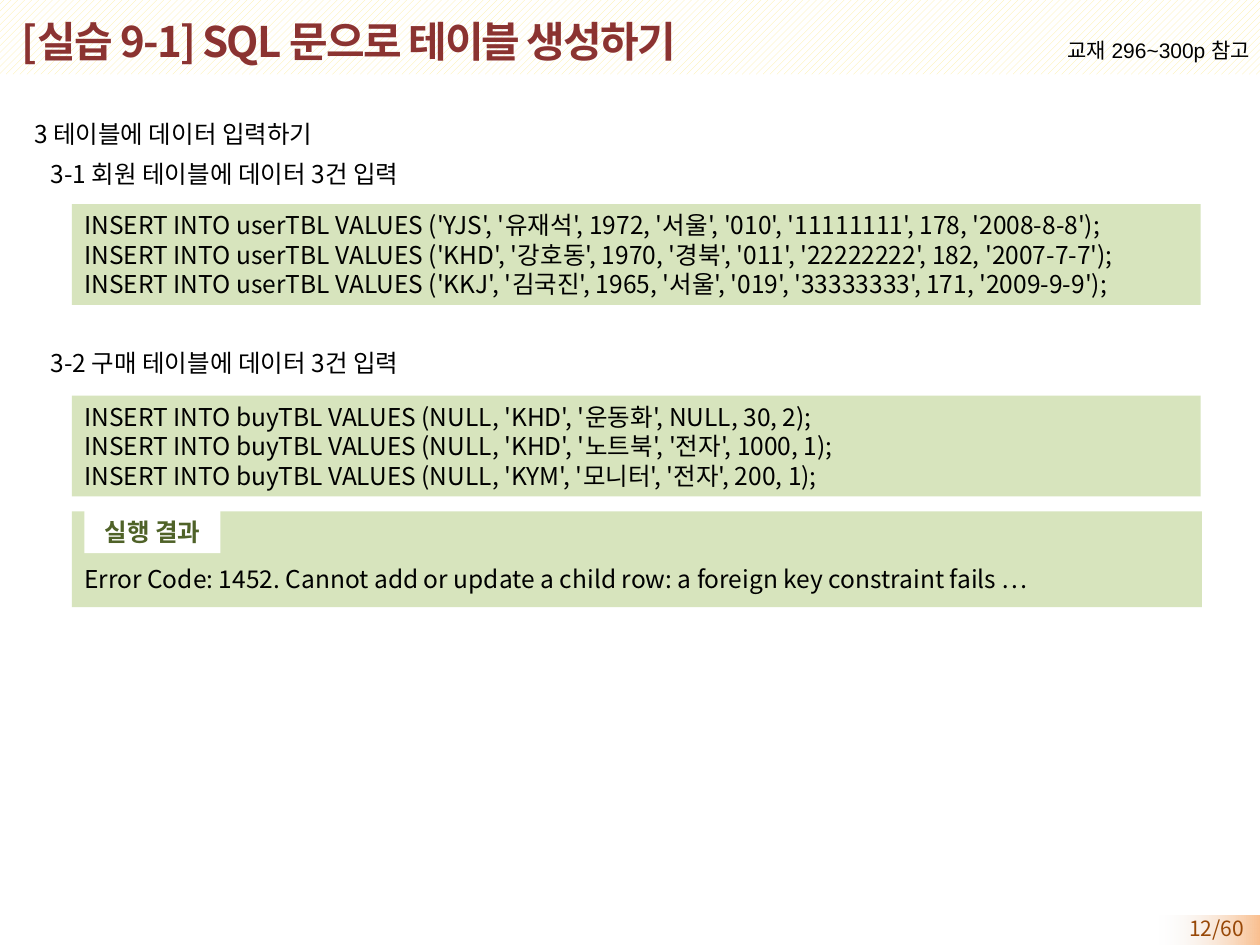
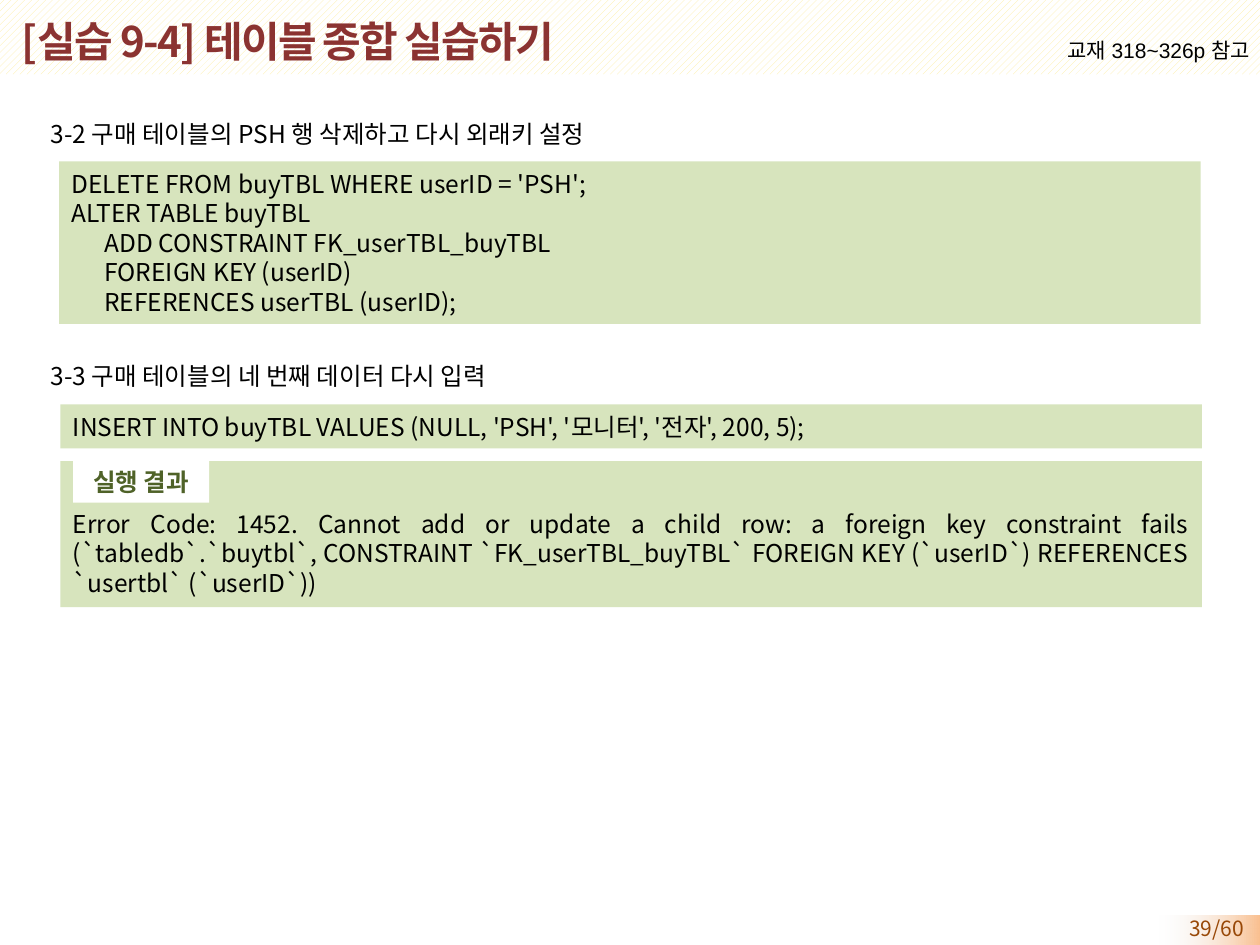
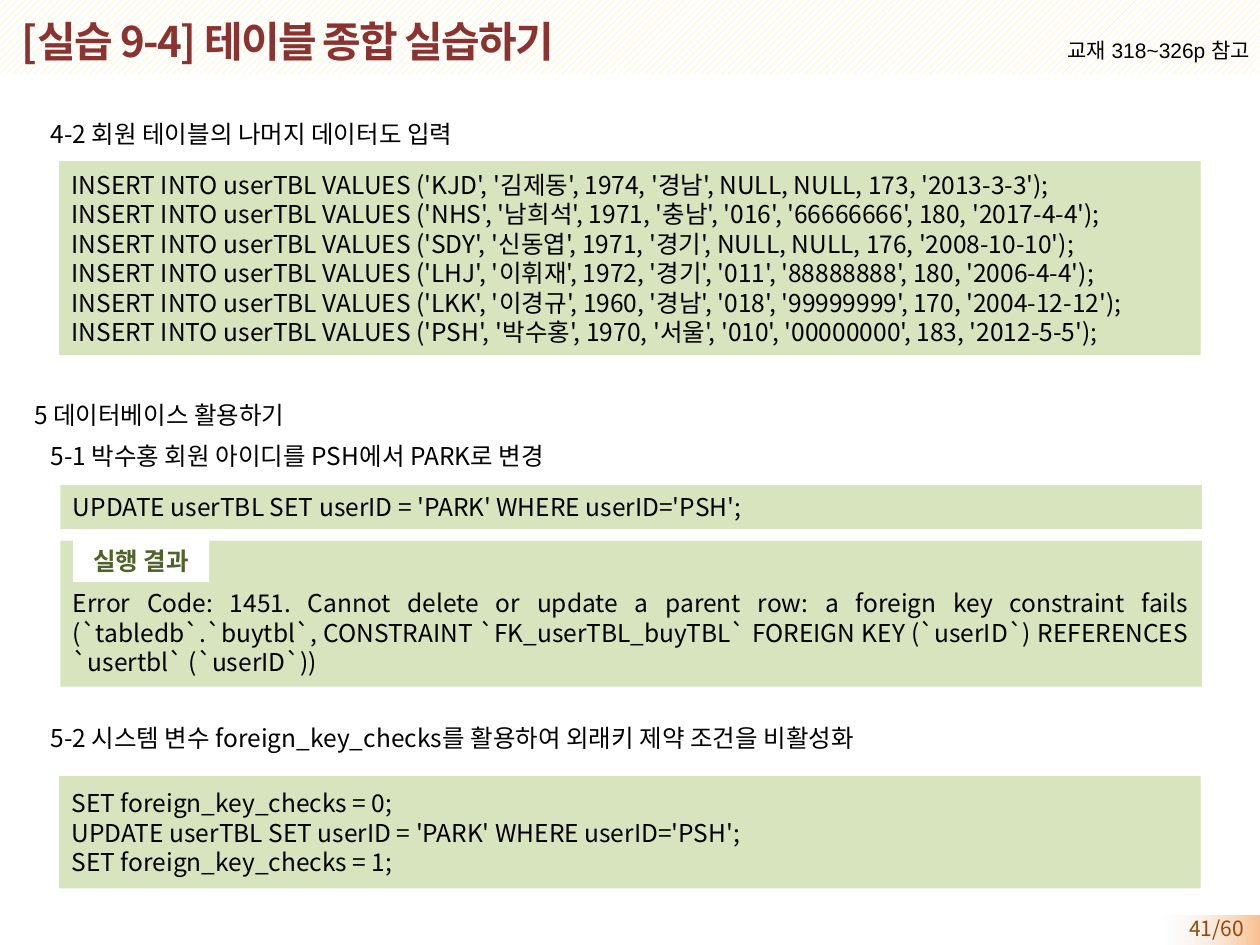
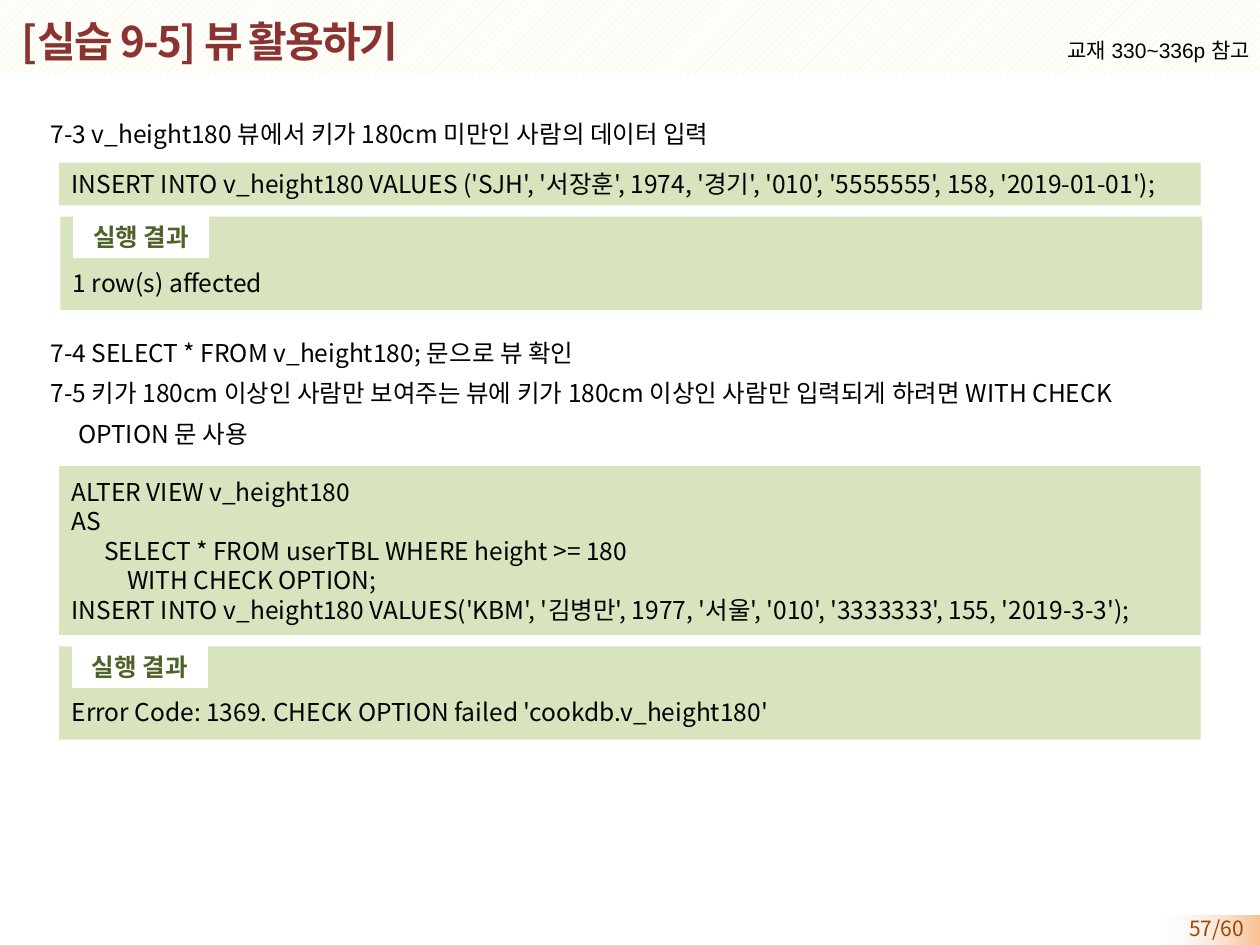
from dataclasses import dataclass
from typing import NamedTuple

from lxml.etree import SubElement
from pptx import Presentation
from pptx.dml.color import RGBColor
from pptx.enum.dml import MSO_PATTERN
from pptx.enum.shapes import MSO_SHAPE
from pptx.enum.text import MSO_ANCHOR, MSO_AUTO_SIZE, PP_ALIGN
from pptx.oxml.ns import qn
from pptx.util import Inches, Pt

COLORS = {
    "title": "8B3331",
    "text": "000000",
    "code": "D7E4BD",
    "label": "4F6228",
    "white": "FFFFFF",
    "stripe": "FDED9C",
    "page": "984807",
    "page_band": "FAC090",
    "page_fade": "F2F2F2",
}
FONT = "Noto Sans CJK KR"
REFERENCE_FONT = "Arial"
PAGE_COUNT = 60

BODY_INDENT = 0.1
STEP_INDENT = 0.23
WRAP_INDENT = 0.45
LINE_GAP = 2.8
CODE_INDENT = 0.26
DEEP_CODE_INDENT = 0.44
LABEL_OFFSET = 0.1


class Line(NamedTuple):
    text: str
    indent: float = 0
    gap: float = LINE_GAP


@dataclass
class CodeBox:
    left: float
    top: float
    width: float
    height: float
    lines: list[Line]


@dataclass
class ResultBox:
    left: float
    top: float
    width: float
    height: float
    message: str


@dataclass
class Lesson:
    title: str
    reference: str
    page: int
    headings: list[Line]
    boxes: list[CodeBox | ResultBox]


def color(name: str) -> RGBColor:
    return RGBColor.from_string(COLORS[name])


def place(shape, left: float, top: float, width: float, height: float) -> None:
    shape.left, shape.top = Inches(left), Inches(top)
    shape.width, shape.height = Inches(width), Inches(height)


def format_text(paragraph, size: float, color_name: str = "text", bold: bool = False,
                font: str = FONT, alignment=PP_ALIGN.LEFT, tracking: int = 0) -> None:
    paragraph.alignment = alignment
    for run in paragraph.runs:
        run.font.size = Pt(size)
        run.font.bold = bold
        run.font.name = font
        run.font.color.rgb = color(color_name)
        properties = run.font._element
        SubElement(properties, qn("a:ea")).set("typeface", font)
        if tracking:
            properties.set("spc", str(tracking))


def set_indent(paragraph, indent: float) -> None:
    properties = paragraph._p.get_or_add_pPr()
    properties.set("marL", str(Inches(indent)))
    properties.set("indent", "0")


def add_rectangle(slide, left: float, top: float, width: float, height: float,
                  fill_name: str):
    shape = slide.shapes.add_shape(MSO_SHAPE.RECTANGLE, Inches(left), Inches(top),
                                   Inches(width), Inches(height))
    shape.shadow.inherit = False
    shape.fill.solid()
    shape.fill.fore_color.rgb = color(fill_name)
    shape.line.fill.background()
    shape.text_frame.vertical_anchor = MSO_ANCHOR.MIDDLE
    return shape


def add_text(slide, left: float, top: float, width: float, height: float, text: str):
    shape = slide.shapes.add_textbox(Inches(left), Inches(top), Inches(width), Inches(height))
    shape.text_frame.text = text
    return shape.text_frame


def add_bands(slide, layout) -> None:
    """Draw the striped title band and the page band, then keep them on the layout."""
    page_band = add_rectangle(slide, 9.2, 7.27, 0.8, 0.24, "page_band")
    page_band.fill.gradient()
    page_band.fill.gradient_angle = 180
    for stop, name in zip(page_band.fill.gradient_stops, ("page_band", "page_fade")):
        stop.color.rgb = color(name)
    fade = page_band._element.findall(".//" + qn("a:srgbClr"))[1]
    SubElement(fade, qn("a:alpha")).set("val", "0")

    title_band = add_rectangle(slide, 0, -0.02, 10, 0.61, "white")
    title_band.fill.patterned()
    title_band.fill.pattern = MSO_PATTERN.WIDE_UPWARD_DIAGONAL
    title_band.fill.fore_color.rgb = color("stripe")
    title_band.fill.back_color.rgb = color("white")

    for band in (title_band, page_band):
        layout.shapes._spTree.insert(2, band._element)


def add_title(slide, text: str) -> None:
    title = slide.shapes.title
    place(title, 0.07, 0.06, 8.51, 0.52)
    frame = title.text_frame
    frame.text = text
    frame.auto_size = MSO_AUTO_SIZE.NONE
    frame.vertical_anchor = MSO_ANCHOR.MIDDLE
    format_text(frame.paragraphs[0], 24, "title", bold=True, tracking=-100)


def add_headings(slide, headings: list[Line]) -> None:
    body = slide.placeholders[1]
    place(body, 0.07, 0.85, 9.8, 6.2)
    frame = body.text_frame
    frame.text = "\n".join(heading.text for heading in headings)
    frame.auto_size = MSO_AUTO_SIZE.NONE
    for paragraph, heading in zip(frame.paragraphs, headings):
        set_indent(paragraph, heading.indent)
        paragraph.line_spacing = 1.2
        paragraph.space_before = Pt(heading.gap)
        SubElement(paragraph._p.get_or_add_pPr(), qn("a:buNone"))
        format_text(paragraph, 14)


def add_code(slide, box: CodeBox) -> None:
    shape = add_rectangle(slide, box.left, box.top, box.width, box.height, "code")
    shape.text_frame.text = "\n".join(line.text for line in box.lines)
    for paragraph, line in zip(shape.text_frame.paragraphs, box.lines):
        set_indent(paragraph, line.indent)
        format_text(paragraph, 14)


def add_result(slide, box: ResultBox) -> None:
    shape = add_rectangle(slide, box.left, box.top, box.width, box.height, "code")
    shape.text_frame.text = box.message
    shape.text_frame.margin_top = Inches(0.35)  # room for the label
    format_text(shape.text_frame.paragraphs[0], 14, alignment=PP_ALIGN.JUSTIFY)

    label = add_rectangle(slide, box.left + LABEL_OFFSET, box.top - 0.01, 1.08, 0.34, "white")
    label.text_frame.text = "실행 결과"
    format_text(label.text_frame.paragraphs[0], 14, "label", bold=True,
                alignment=PP_ALIGN.CENTER)


def add_lesson(slide, lesson: Lesson) -> None:
    add_title(slide, lesson.title)
    add_headings(slide, lesson.headings)

    reference = add_text(slide, 8.25, 0.25, 1.77, 0.3, f"교재 {lesson.reference}p 참고")
    reference.word_wrap = False
    format_text(reference.paragraphs[0], 12, font=REFERENCE_FONT, alignment=PP_ALIGN.RIGHT)

    page = add_text(slide, 9.05, 7.22, 0.92, 0.23, f"{lesson.page}/{PAGE_COUNT}")
    page.word_wrap = True
    format_text(page.paragraphs[0], 12, "page", alignment=PP_ALIGN.RIGHT)

    for box in lesson.boxes:
        if isinstance(box, CodeBox):
            add_code(slide, box)
        else:
            add_result(slide, box)


def topic(text: str, gap: float = LINE_GAP) -> Line:
    return Line(text, BODY_INDENT, gap)


def step(text: str, gap: float = LINE_GAP) -> Line:
    return Line(text, STEP_INDENT, gap)


def inserts(table: str, *rows: str) -> list[Line]:
    return [Line(f"INSERT INTO {table} VALUES ({row});") for row in rows]


def foreign_key_error(code: int, action: str) -> str:
    return (f"Error Code: {code}. Cannot {action} row: a foreign key constraint fails "
            "(`tabledb`.`buytbl`, CONSTRAINT `FK_userTBL_buyTBL` FOREIGN KEY (`userID`) "
            "REFERENCES `usertbl` (`userID`))")


RENAME_USER = Line("UPDATE userTBL SET userID = 'PARK' WHERE userID='PSH';")
TABLE_TITLE = "[실습 9-4] 테이블 종합 실습하기"

LESSONS = [
    Lesson(
        "[실습 9-1] SQL 문으로 테이블 생성하기", "296~300", 12,
        [
            topic("3 테이블에 데이터 입력하기", 0),
            step("3-1 회원 테이블에 데이터 3건 입력"),
            step("3-2 구매 테이블에 데이터 3건 입력", 87.4),
        ],
        [
            CodeBox(0.57, 1.62, 8.96, 0.8, inserts(
                "userTBL",
                "'YJS', '유재석', 1972, '서울', '010', '11111111', 178, '2008-8-8'",
                "'KHD', '강호동', 1970, '경북', '011', '22222222', 182, '2007-7-7'",
                "'KKJ', '김국진', 1965, '서울', '019', '33333333', 171, '2009-9-9'",
            )),
            CodeBox(0.57, 3.14, 8.96, 0.8, inserts(
                "buyTBL",
                "NULL, 'KHD', '운동화', NULL, 30, 2",
                "NULL, 'KHD', '노트북', '전자', 1000, 1",
                "NULL, 'KYM', '모니터', '전자', 200, 1",
            )),
            ResultBox(0.57, 4.06, 8.97, 0.76,
                      "Error Code: 1452. Cannot add or update a child row: "
                      "a foreign key constraint fails …"),
        ],
    ),
    Lesson(
        TABLE_TITLE, "318~326", 39,
        [
            step("3-2 구매 테이블의 PSH 행 삭제하고 다시 외래키 설정", 0),
            step("3-3 구매 테이블의 네 번째 데이터 다시 입력", 118),
        ],
        [
            CodeBox(0.47, 1.28, 9.06, 1.29, [
                Line("DELETE FROM buyTBL WHERE userID = 'PSH';"),
                Line("ALTER TABLE buyTBL"),
                Line("ADD CONSTRAINT FK_userTBL_buyTBL", CODE_INDENT),
                Line("FOREIGN KEY (userID)", CODE_INDENT),
                Line("REFERENCES userTBL (userID);", CODE_INDENT),
            ]),
            CodeBox(0.48, 3.21, 9.06, 0.35, inserts(
                "buyTBL", "NULL, 'PSH', '모니터', '전자', 200, 5")),
            ResultBox(0.48, 3.66, 9.06, 1.16,
                      foreign_key_error(1452, "add or update a child")),
        ],
    ),
    Lesson(
        TABLE_TITLE, "318~326", 41,
        [
            step("4-2 회원 테이블의 나머지 데이터도 입력", 0),
            topic("5 데이터베이스 활용하기", 140.5),
            step("5-1 박수홍 회원 아이디를 PSH에서 PARK로 변경"),
            step("5-2 시스템 변수 foreign_key_checks를 활용하여 외래키 제약 조건을 비활성화", 141),
        ],
        [
            CodeBox(0.47, 1.28, 9.06, 1.54, inserts(
                "userTBL",
                "'KJD', '김제동', 1974, '경남', NULL, NULL, 173, '2013-3-3'",
                "'NHS', '남희석', 1971, '충남', '016', '66666666', 180, '2017-4-4'",
                "'SDY', '신동엽', 1971, '경기', NULL, NULL, 176, '2008-10-10'",
                "'LHJ', '이휘재', 1972, '경기', '011', '88888888', 180, '2006-4-4'",
                "'LKK', '이경규', 1960, '경남', '018', '99999999', 170, '2004-12-12'",
                "'PSH', '박수홍', 1970, '서울', '010', '00000000', 183, '2012-5-5'",
            )),
            CodeBox(0.48, 3.85, 9.06, 0.35, [RENAME_USER]),
            ResultBox(0.48, 4.29, 9.06, 1.16,
                      foreign_key_error(1451, "delete or update a parent")),
            CodeBox(0.47, 6.16, 9.06, 0.89, [
                Line("SET foreign_key_checks = 0;"),
                RENAME_USER,
                Line("SET foreign_key_checks = 1;"),
            ]),
        ],
    ),
    Lesson(
        "[실습 9-5] 뷰 활용하기", "330~336", 57,
        [
            step("7-3 v_height180 뷰에서 키가 180cm 미만인 사람의 데이터 입력", 0),
            step("7-4 SELECT * FROM v_height180; 문으로 뷰 확인", 105),
            step("7-5 키가 180cm 이상인 사람만 보여주는 뷰에 키가 180cm 이상인 사람만 "
                 "입력되게 하려면 WITH CHECK"),
            Line("OPTION 문 사용", WRAP_INDENT),
        ],
        [
            CodeBox(0.47, 1.29, 9.06, 0.34, inserts(
                "v_height180",
                "'SJH', '서장훈', 1974, '경기', '010', '5555555', 158, '2019-01-01'")),
            ResultBox(0.48, 1.72, 9.06, 0.74, "1 row(s) affected"),
            CodeBox(0.47, 3.7, 9.06, 1.34, [
                Line("ALTER VIEW v_height180"),
                Line("AS"),
                Line("SELECT * FROM userTBL WHERE height >= 180", CODE_INDENT),
                Line("WITH CHECK OPTION;", DEEP_CODE_INDENT),
                Line("INSERT INTO v_height180 VALUES('KBM', '김병만', 1977, '서울', "
                     "'010', '3333333', 155, '2019-3-3');"),
            ]),
            ResultBox(0.47, 5.13, 9.06, 0.74,
                      "Error Code: 1369. CHECK OPTION failed 'cookdb.v_height180'"),
        ],
    ),
]


def main() -> None:
    presentation = Presentation()
    presentation.slide_width, presentation.slide_height = Inches(10), Inches(7.5)
    layout = presentation.slide_layouts[1]
    slides = [presentation.slides.add_slide(layout) for _ in LESSONS]
    add_bands(slides[0], layout)
    for slide, lesson in zip(slides, LESSONS):
        add_lesson(slide, lesson)
    presentation.save("out.pptx")


if __name__ == "__main__":
    main()
